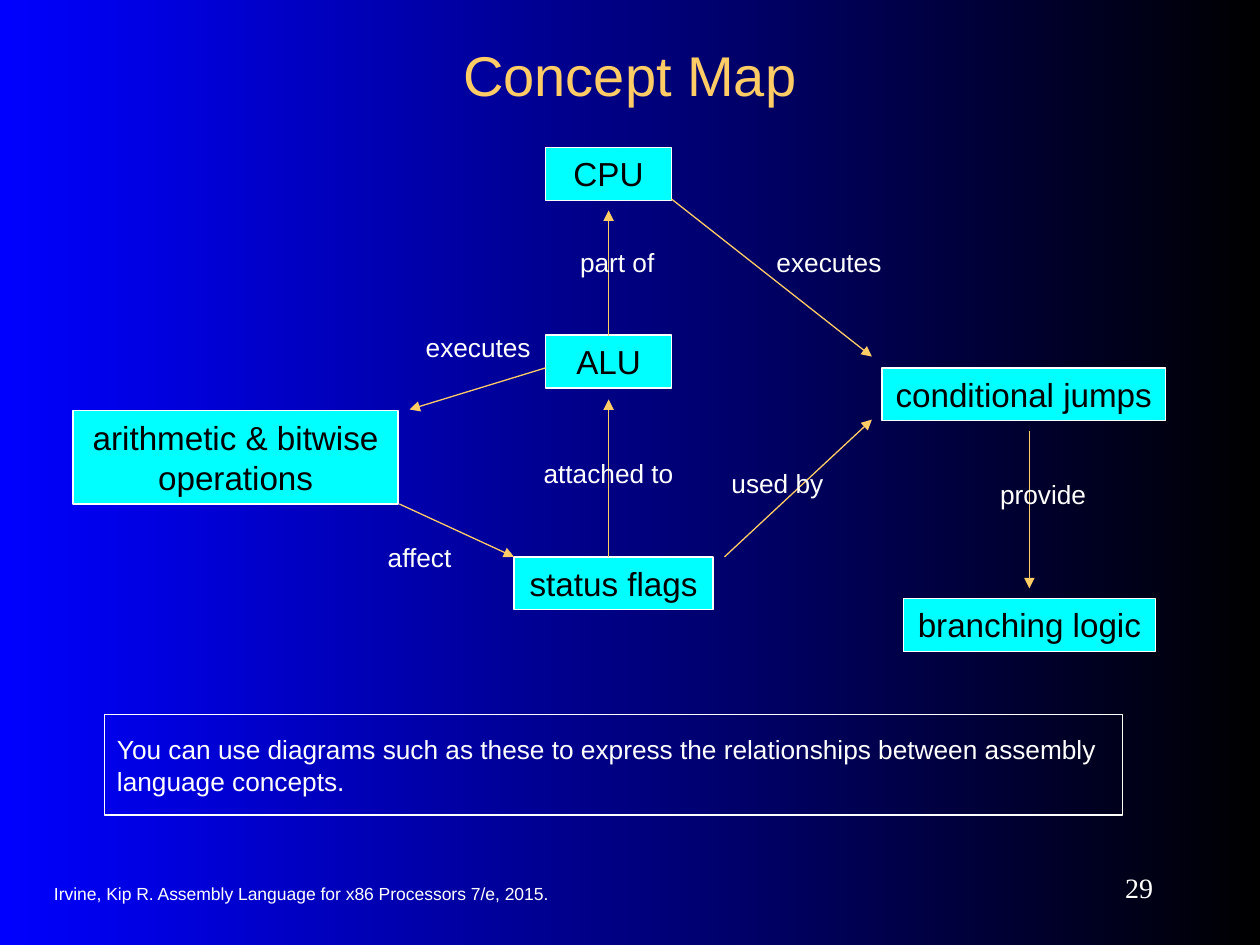
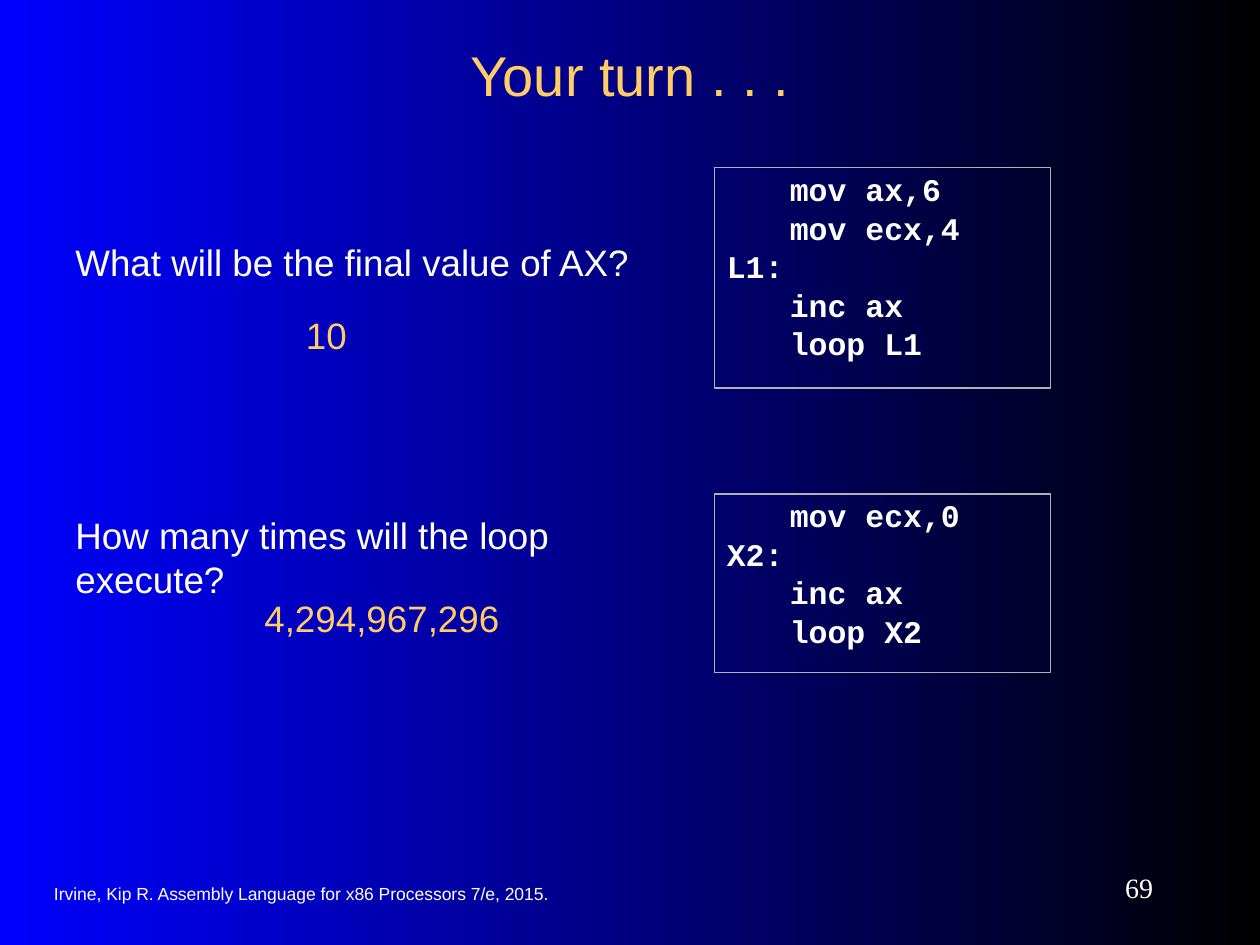
from dataclasses import dataclass
from lxml import etree
from pptx import Presentation, util as u
from pptx.dml import color
from pptx.enum import shapes, text
from pptx.oxml import ns


@dataclass(frozen=True)
class Theme:
    blue: str = "0000FF"
    black: str = "000000"
    white: str = "FFFFFF"
    gold: str = "FFCC66"
    cyan: str = "00FFFF"
    gray: str = "B2B2B2"
    sans: str = "Arial"
    serif: str = "Times New Roman"
    mono: str = "Courier New"
    title: int = 32
    body: int = 21
    node: int = 19
    code: int = 18
    page: int = 16
    label: int = 15
    foot: int = 10
    line: float = 0.74


T = Theme()
rgb = color.RGBColor.from_string
LEFT, MID, RIGHT = text.PP_ALIGN.LEFT, text.PP_ALIGN.CENTER, text.PP_ALIGN.RIGHT


def write(slide, at, words, size, ink=T.white, font=T.sans, align=LEFT,
          pad=0.15, side=0.1, fill=None, edge=None, center=False):
    """Add a text box, or a rectangle when it has an edge; return its frame."""
    area = [u.Inches(v) for v in at]
    if edge:
        shape = slide.shapes.add_shape(shapes.MSO_SHAPE.RECTANGLE, *area)
        shape.shadow.inherit = False
        shape.line.color.rgb = rgb(edge)
        shape.line.width = u.Pt(T.line)
        if fill:
            shape.fill.solid()
            shape.fill.fore_color.rgb = rgb(fill)
        else:
            shape.fill.background()
    else:
        shape = slide.shapes.add_textbox(*area)
    frame = shape.text_frame
    frame.word_wrap = True
    frame.margin_top = frame.margin_bottom = u.Inches(pad)
    frame.margin_left = frame.margin_right = u.Inches(side)
    frame.vertical_anchor = text.MSO_ANCHOR.MIDDLE if center else text.MSO_ANCHOR.TOP
    for i, line in enumerate(words.split("\n")):
        para = frame.paragraphs[0] if i == 0 else frame.add_paragraph()
        para.alignment = align
        run = para.add_run()
        run.text = line
        run.font.name = font
        run.font.size = u.Pt(size)
        run.font.color.rgb = rgb(ink)
    return frame


def start(name, page):
    """Add a slide with its footer, page number and title."""
    slide = deck.slides.add_slide(deck.slide_layouts[6])
    write(slide, (0.33, 6.93, 5.25, 0.33),
          "Irvine, Kip R. Assembly Language for x86 Processors 7/e, 2015.",
          T.foot, pad=0.05, center=True)
    write(slide, (8.17, 6.83, 1.08, 0.42), page, T.page, font=T.serif,
          align=RIGHT, pad=0.05, center=True)
    write(slide, (0.75, 0.25, 8.5, 0.67), name, T.title, T.gold,
          align=MID, pad=0.05, center=True)
    return slide


# Deck and shared background
deck = Presentation()
deck.slide_width, deck.slide_height = u.Inches(10), u.Inches(7.5)
back = deck.slide_master.background.fill
back.gradient()
back.gradient_angle = 0
for stop, tone, spot in zip(back.gradient_stops, (T.blue, T.black), (0, 1)):
    stop.color.rgb = rgb(tone)
    stop.position = spot

# Slide 1: concept map
slide = start("Concept Map", "29")

# Concepts
nodes = [
    ("CPU", 4.33, 1.17, 1, 0.42),
    ("ALU", 4.33, 2.66, 1, 0.42),
    ("status flags", 4.08, 4.42, 1.58, 0.42),
    ("conditional jumps", 7, 2.92, 2.25, 0.42),
    ("branching logic", 7.17, 4.75, 2, 0.42),
    ("arithmetic & bitwise operations", 0.58, 3.26, 2.58, 0.74),
]
for name, *at in nodes:
    write(slide, at, name, T.node, T.black, align=MID, pad=0.05, side=0.05,
          fill=T.cyan, edge=T.white)

# Relations: arrow ends, then label with its left, top and width
links = [
    ((4.83, 2.67, 4.83, 1.67), " part of", 4.33, 1.83, 1.08),
    ((3.17, 4, 4.08, 4.42), "affect", 2.33, 4.17, 2),
    ((4.83, 4.42, 4.83, 3.17), "attached to", 3.83, 3.5, 2),
    ((5.75, 4.42, 6.92, 3.33), "used by", 5.17, 3.58, 2),
    ((8.17, 3.42, 8.17, 4.67), " provide", 7.25, 3.67, 2),
    ((5.33, 1.58, 6.92, 2.83), "executes", 5.58, 1.83, 2),
    ((4.33, 2.92, 3.25, 3.25), "executes", 3.17, 2.5, 1.25),
]
for ends, name, left, top, width in links:
    arrow = slide.shapes.add_connector(
        shapes.MSO_CONNECTOR.STRAIGHT, *[u.Inches(v) for v in ends])
    arrow.line.color.rgb = rgb(T.gold)
    arrow.line.width = u.Pt(T.line)
    etree.SubElement(arrow.line._get_or_add_ln(), ns.qn("a:tailEnd"), type="triangle")
    etree.SubElement(arrow._element.spPr, ns.qn("a:effectLst"))
    write(slide, (left, top, width, 0.55), name, T.label, align=MID)

# Remark
write(slide, (0.83, 5.67, 8.08, 0.8),
      "You can use diagrams such as these to express the relationships "
      "between assembly language concepts.", T.label, edge=T.white)

# Slide 2: questions, answers and code
slide = start("Your turn . . .", "69")
tasks = [
    ("What will be the final value of AX?", (0.5, 1.75, 5.5, 0.65),
     "10", (2.33, 2.33, 0.67, 0.65),
     "mov ax,6\nmov ecx,4\nL1:\ninc ax\nloop L1", (5.67, 1.33, 2.67, 1.75)),
    ("How many times will the loop execute?", (0.5, 3.92, 4.67, 1),
     "4,294,967,296", (2, 4.58, 2.33, 0.65),
     "mov ecx,0\nX2:\ninc ax\nloop X2", (5.67, 3.92, 2.67, 1.42)),
]
for ask, spot, reply, place, code, area in tasks:
    write(slide, spot, ask, T.body)
    write(slide, place, reply, T.body, T.gold)
    frame = write(slide, area, code, T.code, font=T.mono, edge=T.gray)
    for para in frame.paragraphs:
        para.line_spacing = 0.5
        para.space_before = u.Pt(11.2)
        para.runs[0].font.bold = True
        # Instructions are indented, jump labels are not
        if not para.text.endswith(":"):
            para._p.get_or_add_pPr().set("marL", str(u.Inches(0.5)))

deck.save("out.pptx")
